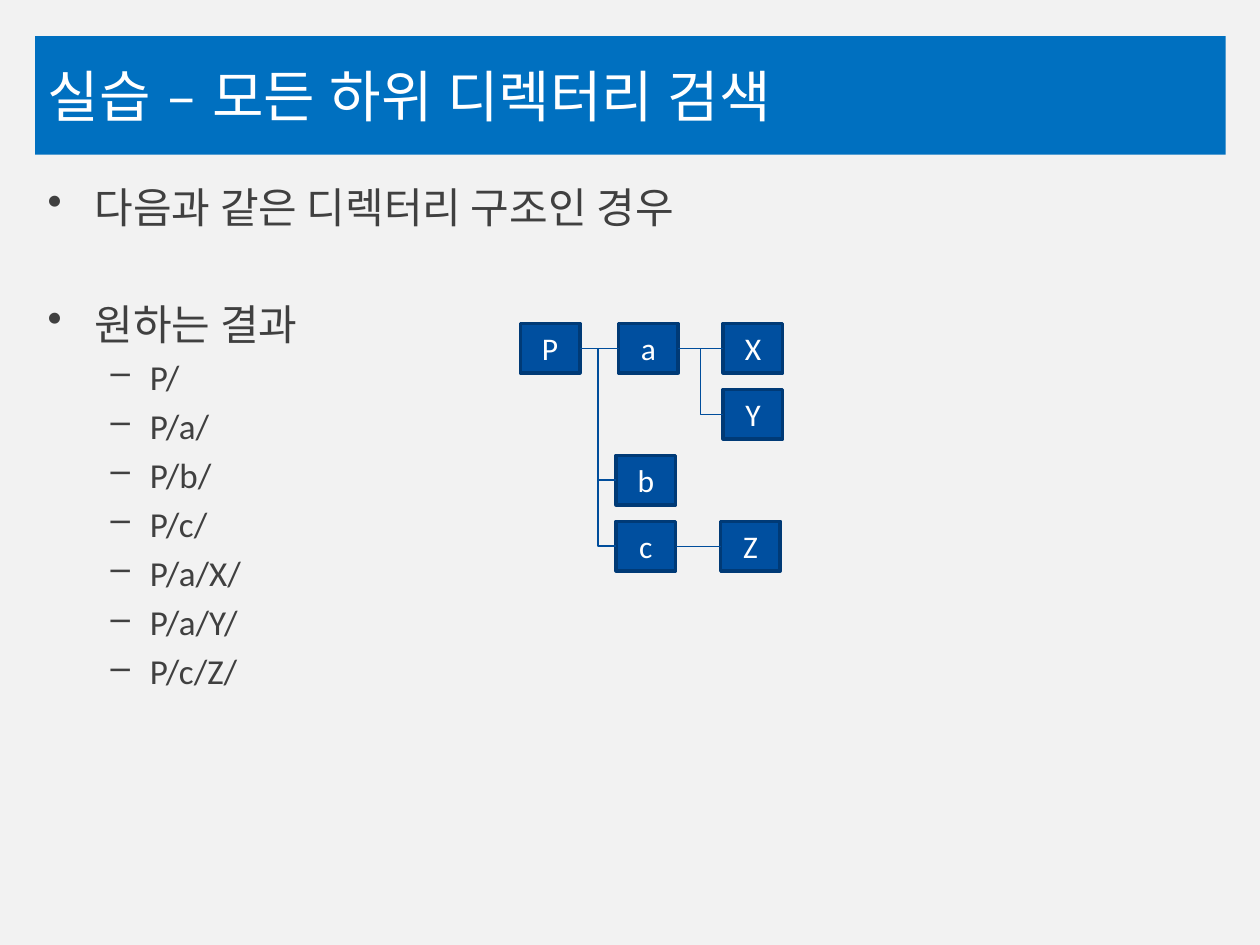
import pptx
import pptx.util
import pptx.dml.color
import pptx.enum.shapes
import pptx.enum.text
import pptx.oxml.ns
from lxml import etree

Cm, Pt = pptx.util.Cm, pptx.util.Pt
RGBColor = pptx.dml.color.RGBColor
MSO_SHAPE = pptx.enum.shapes.MSO_SHAPE
MSO_CONNECTOR = pptx.enum.shapes.MSO_CONNECTOR
PP_ALIGN = pptx.enum.text.PP_ALIGN
MSO_ANCHOR = pptx.enum.text.MSO_ANCHOR
qn = pptx.oxml.ns.qn

PAPER = RGBColor(0xF2, 0xF2, 0xF2)
TITLE_BLUE = RGBColor(0x00, 0x70, 0xC0)
NODE_FILL = RGBColor(0x00, 0x4F, 0x9F)
NODE_LINE = RGBColor(0x00, 0x3A, 0x76)
LINK_BLUE = RGBColor(0x00, 0x4D, 0x9B)
WHITE = RGBColor(0xFF, 0xFF, 0xFF)
INK = RGBColor(0x40, 0x40, 0x40)

SLIDE_W, SLIDE_H = 25.4, 19.05
MARGIN, CONTENT_W = 0.71, 24

TITLE = "실습 – 모든 하위 디렉터리 검색"
# text, level, space before in points
BODY = [("다음과 같은 디렉터리 구조인 경우", 0, 4), ("원하는 결과", 0, 38)]
BODY += [(text, 1, 4) for text in
         ("P/", "P/a/", "P/b/", "P/c/", "P/a/X/", "P/a/Y/", "P/c/Z/")]
# bullet, size, left margin, hanging indent
LEVELS = [("•", 24, 0.95, 0.95), ("–", 20, 2.06, 0.79)]

# name: left edge in cm, row
NODES = {"P": (10.49, 0), "X": (14.58, 0), "Y": (14.58, 1), "Z": (14.53, 3),
         "a": (12.47, 0), "b": (12.42, 2), "c": (12.42, 3)}
LINKS = ["Pa", "aX", "aY", "Pb", "Pc", "cZ"]
NODE_W, NODE_H = 1.2, 1
TREE_TOP, ROW_STEP = 6.52, 1.33


def add_text(p, text, *, size, color, font="Calibri", align=PP_ALIGN.LEFT):
    p.alignment = align
    r = p.add_run()
    r.text = text
    r.font.size, r.font.name = Pt(size), font
    r.font.color.rgb = color
    # Korean text takes its font from the East Asian slot
    etree.SubElement(r.font._element, qn("a:ea")).set("typeface", font)


def add_box(s, left, top, width, height, fill, line=None):
    sp = s.shapes.add_shape(MSO_SHAPE.RECTANGLE,
                            Cm(left), Cm(top), Cm(width), Cm(height))
    sp.shadow.inherit = False
    sp.fill.solid()
    sp.fill.fore_color.rgb = fill
    if line is None:
        sp.line.fill.background()
    else:
        sp.line.color.rgb, sp.line.width = line, Pt(2)
    sp.text_frame.vertical_anchor = MSO_ANCHOR.MIDDLE
    return sp


def set_bullet(p, char, margin, hanging):
    pPr = p._p.get_or_add_pPr()
    pPr.set("marL", str(Cm(margin)))
    pPr.set("indent", str(-Cm(hanging)))
    etree.SubElement(pPr, qn("a:buChar")).set("char", char)


def add_body(s):
    sp = s.shapes.add_textbox(Cm(MARGIN), Cm(3.53), Cm(CONTENT_W), Cm(13.41))
    tf = sp.text_frame
    tf.word_wrap = True
    for i, (text, level, before) in enumerate(BODY):
        p = tf.add_paragraph() if i else tf.paragraphs[0]
        p.level, p.space_before = level, Pt(before)
        char, size, margin, hanging = LEVELS[level]
        set_bullet(p, char, margin, hanging)
        add_text(p, text, size=size, color=INK)


def add_tree(s):
    boxes = {}
    for name, (left, row) in NODES.items():
        sp = add_box(s, left, TREE_TOP + row * ROW_STEP, NODE_W, NODE_H,
                     NODE_FILL, NODE_LINE)
        add_text(sp.text_frame.paragraphs[0], name, size=18, color=WHITE,
                 align=PP_ALIGN.CENTER)
        boxes[name] = sp
    for parent, child in LINKS:
        same_row = NODES[parent][1] == NODES[child][1]
        kind = MSO_CONNECTOR.STRAIGHT if same_row else MSO_CONNECTOR.ELBOW
        link = s.shapes.add_connector(kind, 0, 0, 0, 0)
        link.begin_connect(boxes[parent], 3)
        link.end_connect(boxes[child], 1)
        link.line.color.rgb, link.line.width = LINK_BLUE, Pt(0.75)
        etree.SubElement(link._element.spPr, qn("a:effectLst"))


def main():
    prs = pptx.Presentation()
    prs.slide_width, prs.slide_height = Cm(SLIDE_W), Cm(SLIDE_H)
    s = prs.slides.add_slide(prs.slide_layouts[6])
    add_box(s, 0, 0, SLIDE_W, SLIDE_H, PAPER)
    bar = add_box(s, MARGIN, 0.73, CONTENT_W, 2.39, TITLE_BLUE)
    add_text(bar.text_frame.paragraphs[0], TITLE, size=32, color=WHITE,
             font="Lato")
    add_body(s)
    add_tree(s)
    prs.save("out.pptx")


if __name__ == "__main__":
    main()
